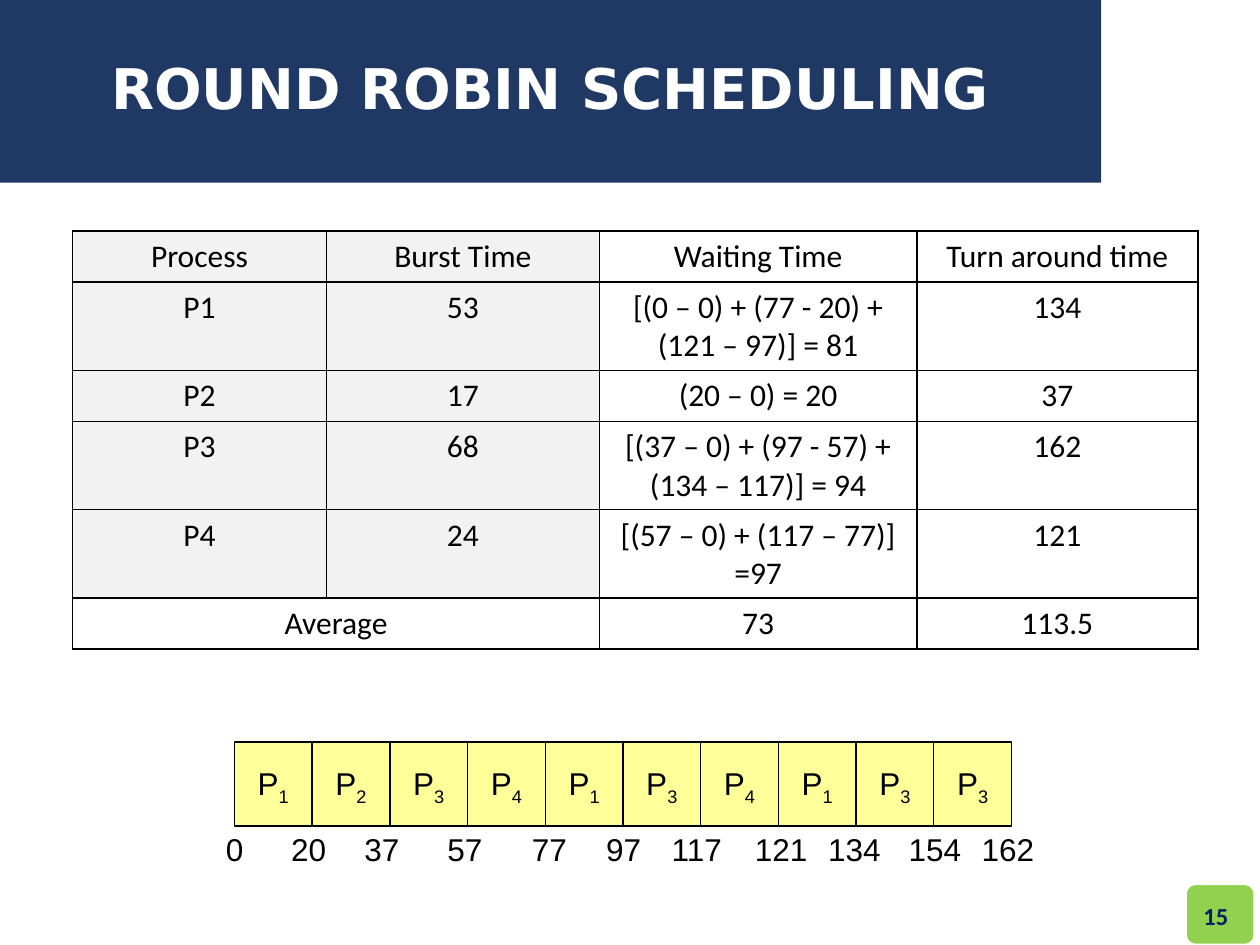
"""Build the round robin scheduling slide with its timing table and Gantt chart."""
from dataclasses import dataclass

from lxml.etree import SubElement
from pptx import Presentation
from pptx.dml.color import RGBColor as RGB
from pptx.enum.shapes import MSO_SHAPE as Kind
from pptx.enum.text import MSO_ANCHOR as Anchor, PP_ALIGN as Align
from pptx.oxml.ns import qn
from pptx.util import Pt


@dataclass(frozen=True)
class Theme:
    navy: str = "203864"
    ink: str = "002060"
    green: str = "92D050"
    yellow: str = "FFFF99"
    gray: str = "F2F2F2"
    white: str = "FFFFFF"
    black: str = "000000"
    head: int = 32
    body: int = 18
    page: int = 14


theme = Theme()


def block(kind, x, y, w, h, fill, line=None, width=0.75):
    shape = slide.shapes.add_shape(kind, Pt(x), Pt(y), Pt(w), Pt(h))
    shape.shadow.inherit = False
    shape.fill.solid()
    shape.fill.fore_color.rgb = RGB.from_string(fill)
    if line:
        shape.line.color.rgb = RGB.from_string(line)
        shape.line.width = Pt(width)
    else:
        shape.line.fill.background()
    return shape


def write(frame, text, size, name, color, align=Align.CENTER, bold=False):
    frame.vertical_anchor = Anchor.MIDDLE
    para = frame.paragraphs[0]
    para.alignment = align
    para.add_run().text = text
    font = para.font
    font.size, font.name, font.bold = Pt(size), name, bold
    font.color.rgb = RGB.from_string(color)
    return para


deck = Presentation()
deck.slide_width, deck.slide_height = Pt(720), Pt(540)
slide = deck.slides.add_slide(deck.slide_layouts[6])

badge = block(Kind.ROUNDED_RECTANGLE, 677.5, 505, 39.5, 35, theme.green, theme.white, 1.5)
title = block(Kind.RECTANGLE, 0, 0, 629.3, 104.4, theme.navy)
para = write(title.text_frame, "ROUND ROBIN SCHEDULING", theme.head, "DejaVu Sans",
             theme.white, bold=True)
para.line_spacing = 0.9
page = slide.shapes.add_textbox(Pt(547), Pt(508.5), Pt(162), Pt(29))
page.text_frame.word_wrap = True
write(page.text_frame, "15", theme.page, "Calibri", theme.ink, Align.RIGHT, True)

rows = [
    ("Process", "Burst Time", "Waiting Time", "Turn around time"),
    ("P1", "53", "[(0 – 0) + (77 - 20) + (121 – 97)] = 81", "134"),
    ("P2", "17", "(20 – 0) = 20", "37"),
    ("P3", "68", "[(37 – 0) + (97 - 57) + (134 – 117)] = 94", "162"),
    ("P4", "24", "[(57 – 0) + (117 – 77)] =97", "121"),
    ("Average", "", "73", "113.5"),
]
widths = [145, 156, 181.5, 160.5]
high = 29.2
table = slide.shapes.add_table(len(rows), len(widths), Pt(41.5), Pt(132),
                               Pt(sum(widths)), Pt(high * len(rows))).table
table.first_row = table.horz_banding = False
for col, width in zip(table.columns, widths):
    col.width = Pt(width)
last = len(rows) - 1
table.cell(last, 0).merge(table.cell(last, 1))
for r, row in enumerate(rows):
    table.rows[r].height = Pt(high)
    for c, text in enumerate(row):
        cell = table.cell(r, c)
        props = cell._tc.get_or_add_tcPr()
        for side in ("a:lnL", "a:lnR", "a:lnT", "a:lnB"):
            edge = SubElement(props, qn(side), w=str(Pt(1)))
            SubElement(SubElement(edge, qn("a:solidFill")), qn("a:srgbClr"), val=theme.black)
        if c < 2 and r < last:
            cell.fill.solid()
            cell.fill.fore_color.rgb = RGB.from_string(theme.gray)
        else:
            cell.fill.background()
        if text:
            write(cell.text_frame, text, theme.body, "Calibri", theme.black)
            cell.vertical_anchor = Anchor.TOP

left, top, step, tall = 134, 424, 44.4, 48
for i, job in enumerate("1234134133"):
    box = block(Kind.RECTANGLE, left + i * step, top, step, tall, theme.yellow, theme.black)
    para = write(box.text_frame, "P", theme.body, "Arial", theme.black)
    para.line_spacing = 0.93
    sub = para.add_run()
    sub.text = job
    sub._r.get_or_add_rPr().set("baseline", "-25000")

ticks = {0: 134, 20: 176.4, 37: 218.2, 57: 265.7, 77: 313.9, 97: 356.4,
         117: 398.2, 121: 446.4, 134: 488.2, 154: 534.2, 162: 576}
for time, mid in ticks.items():
    wide = 14.4 + 10 * len(str(time))
    label = slide.shapes.add_textbox(Pt(mid - wide / 2), Pt(471.6), Pt(wide), Pt(29))
    label.text_frame.word_wrap = False
    para = write(label.text_frame, str(time), theme.body, "Arial", theme.black)
    para.line_spacing = 0.93

deck.save("out.pptx")
